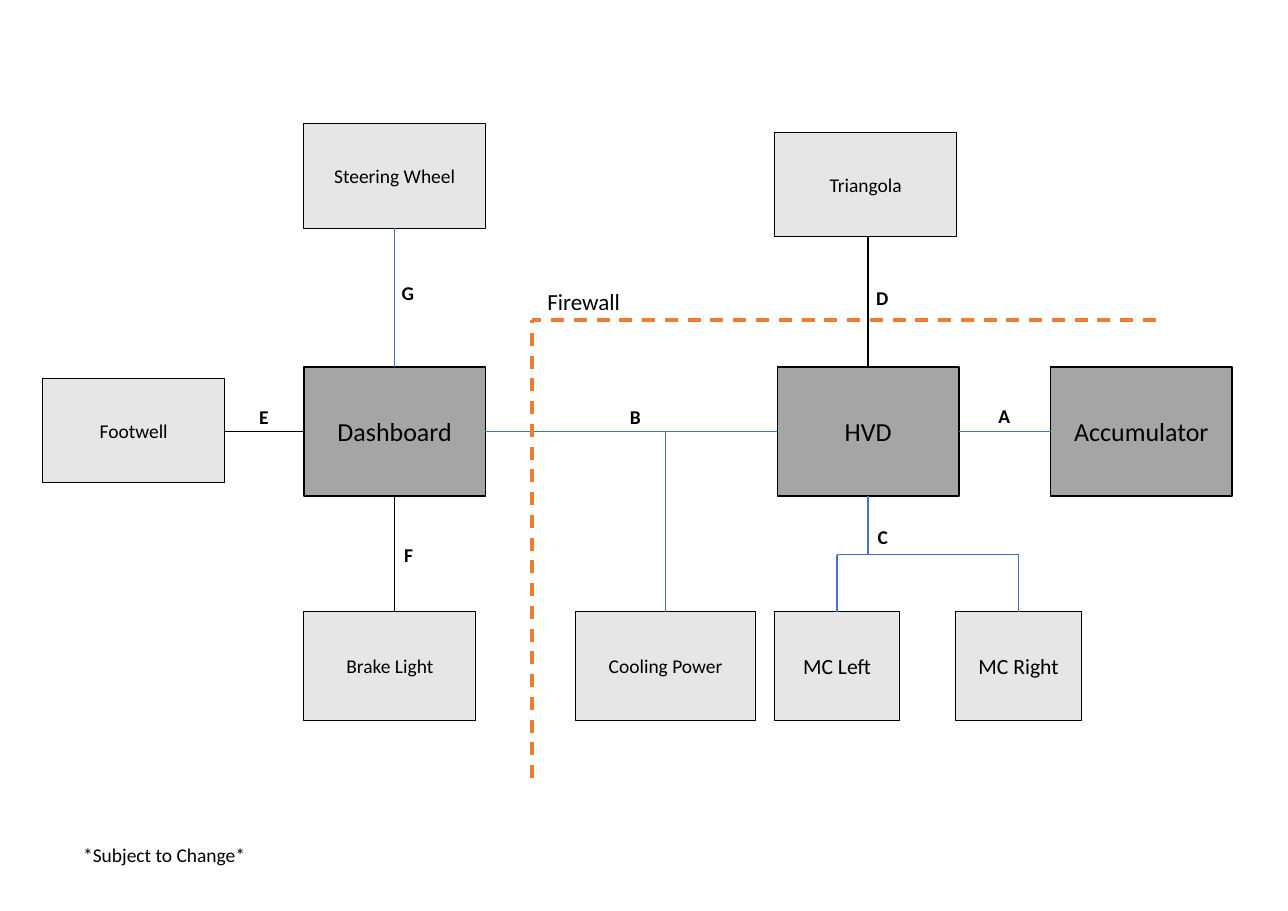
from lxml import etree
from pptx import Presentation
from pptx.dml.color import RGBColor
from pptx.enum import dml, shapes, text
from pptx.oxml import ns
from pptx.util import Cm, Pt

BLACK = RGBColor(0x00, 0x00, 0x00)
DARK_GREY = RGBColor(0xA5, 0xA5, 0xA5)
LIGHT_GREY = RGBColor(0xE7, 0xE6, 0xE6)
BLUE = RGBColor(0x44, 0x72, 0xC4)
ORANGE = RGBColor(0xED, 0x7D, 0x31)

MAIN = {"fill": DARK_GREY, "size": 24, "border": 1.5}
UNIT = {"fill": LIGHT_GREY, "size": 18, "border": 1}
MOTOR = {**UNIT, "size": 20}

WIDTH = 5.92
MAIN_TOP, MAIN_HEIGHT = 11.96, 4.22
UNIT_HEIGHT = 3.4
LOWER_TOP, LOWER_HEIGHT = 19.94, 3.56
BUS_Y = 18.08
FIREWALL_X, FIREWALL_Y = 17.35, 10.43

BOXES = {
    "Dashboard": (9.91, MAIN_TOP, WIDTH, MAIN_HEIGHT, MAIN),
    "HVD": (25.35, MAIN_TOP, WIDTH, MAIN_HEIGHT, MAIN),
    "Accumulator": (34.26, MAIN_TOP, WIDTH, MAIN_HEIGHT, MAIN),
    "Steering Wheel": (9.91, 4.04, WIDTH, UNIT_HEIGHT, UNIT),
    "Triangola": (25.27, 4.32, WIDTH, UNIT_HEIGHT, UNIT),
    "Footwell": (1.4, 12.34, WIDTH, UNIT_HEIGHT, UNIT),
    "Brake Light": (9.91, LOWER_TOP, 5.61, LOWER_HEIGHT, UNIT),
    "Cooling Power": (18.77, LOWER_TOP, 5.87, LOWER_HEIGHT, UNIT),
    "MC Left": (25.25, LOWER_TOP, 4.09, LOWER_HEIGHT, MOTOR),
    "MC Right": (31.17, LOWER_TOP, 4.09, LOWER_HEIGHT, MOTOR),
}
VERTICAL_LINKS = [
    ("Dashboard", "Steering Wheel", "Dashboard", BLUE),
    ("HVD", "Triangola", "HVD", BLACK),
    ("Dashboard", "Dashboard", "Brake Light", BLACK),
]
HORIZONTAL_LINKS = [
    ("Footwell", "Dashboard", BLACK),
    ("Dashboard", "HVD", BLUE),
    ("HVD", "Accumulator", BLUE),
]
CABLE_LABELS = {
    "A": (32.31, 13.06), "B": (20.29, 13.08), "C": (28.37, 16.99),
    "D": (28.32, 9.19), "E": (8.2, 13.08), "F": (12.93, 17.58), "G": (12.85, 9.04),
}
NOTES = [
    ("Firewall", 17.6, 9.25, 3.4, 1.17, 21.3, True),
    ("*Subject to Change*", 2.46, 27.36, 5.87, 1.02, 18, False),
]

deck = Presentation()
deck.slide_width, deck.slide_height = Cm(42), Cm(29.7)
page = deck.slides.add_slide(deck.slide_layouts[6])


def write(frame, words, size, bold=False):
    span = frame.paragraphs[0].add_run()
    span.text = words
    for name, value in {"name": "Calibri", "size": Pt(size), "bold": bold}.items():
        setattr(span.font, name, value)
    span.font.color.rgb = BLACK


def add_box(words, left, top, width, height, style):
    box = page.shapes.add_shape(shapes.MSO_SHAPE.RECTANGLE, *map(Cm, (left, top, width, height)))
    box.shadow.inherit = False
    box.fill.solid()
    box.fill.fore_color.rgb = style["fill"]
    box.line.color.rgb = BLACK
    box.line.width = Pt(style["border"])
    box.text_frame.vertical_anchor = text.MSO_ANCHOR.MIDDLE
    box.text_frame.paragraphs[0].alignment = text.PP_ALIGN.CENTER
    write(box.text_frame, words, style["size"])


def add_line(start, end, color, width=1.5, dash=None):
    line = page.shapes.add_connector(shapes.MSO_CONNECTOR.STRAIGHT, *map(Cm, (*start, *end)))
    line.line.color.rgb = color
    line.line.width = Pt(width)
    if dash:
        line.line.dash_style = dash
    etree.SubElement(line._element.spPr, ns.qn("a:effectLst"))


def add_text(words, left, top, width, height, size, wrap=False, bold=False):
    box = page.shapes.add_textbox(*map(Cm, (left, top, width, height)))
    box.text_frame.word_wrap = wrap
    box.text_frame.auto_size = text.MSO_AUTO_SIZE.SHAPE_TO_FIT_TEXT
    write(box.text_frame, words, size, bold)


def center(name):
    left, _, width, _, _ = BOXES[name]
    return left + width / 2


def right(name):
    return BOXES[name][0] + BOXES[name][2]


def bottom(name):
    return BOXES[name][1] + BOXES[name][3]


for name, place in BOXES.items():
    add_box(name, *place)

middle = MAIN_TOP + MAIN_HEIGHT / 2
for axis, upper, lower, color in VERTICAL_LINKS:
    add_line((center(axis), bottom(upper)), (center(axis), BOXES[lower][1]), color)
for first, second, color in HORIZONTAL_LINKS:
    add_line((right(first), middle), (BOXES[second][0], middle), color)

motors = [center("MC Left"), center("MC Right")]
add_line((center("HVD"), bottom("HVD")), (center("HVD"), BUS_Y), BLUE)
add_line((motors[0], BUS_Y), (motors[1], BUS_Y), BLUE)
for x, top in [(x, BUS_Y) for x in motors] + [(center("Cooling Power"), middle)]:
    add_line((x, top), (x, LOWER_TOP), BLUE)

for end in [(FIREWALL_X, 25.37), (37.69, FIREWALL_Y)]:
    add_line(end, (FIREWALL_X, FIREWALL_Y), ORANGE, 3, dml.MSO_LINE.DASH)

for letter, (left, top) in CABLE_LABELS.items():
    add_text(letter, left, top, 0.88, 1.02, 18, bold=True)
for note in NOTES:
    add_text(*note)

deck.save("out.pptx")
